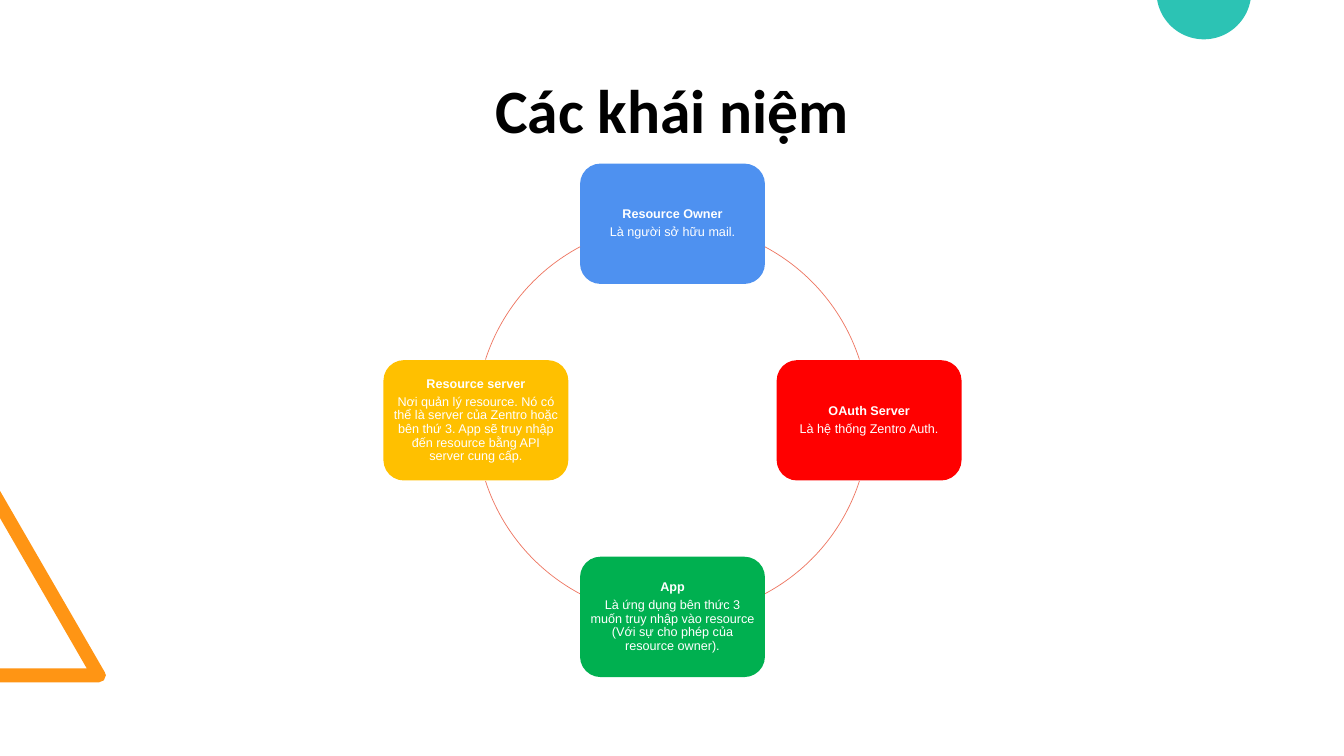
import math
from dataclasses import dataclass

import pptx
import pptx.dml.color
import pptx.enum.shapes
import pptx.enum.text
import pptx.util

Inches = pptx.util.Inches
Pt = pptx.util.Pt
SHAPE = pptx.enum.shapes.MSO_SHAPE
CENTER = pptx.enum.text.PP_ALIGN.CENTER
MIDDLE = pptx.enum.text.MSO_ANCHOR.MIDDLE

WIDTH, HEIGHT = 13.33, 7.5
CYCLE_X, CYCLE_Y, RADIUS = 6.67, 4.17, 1.95
CARD_W, CARD_H = 1.82, 1.18
# Degrees from a card's centre to the ring's visible part
SIDE_GAP, END_GAP = 18, 28


@dataclass(frozen=True)
class Theme:
    title_font: str = "Calibri"
    body_font: str = "Arial"
    title_size: int = 44
    body_size: int = 9
    black: str = "000000"
    white: str = "FFFFFF"
    blue: str = "4E91F0"
    red: str = "FF0000"
    green: str = "00B050"
    yellow: str = "FFC000"
    ring: str = "EE7661"
    orange: str = "FF9514"
    teal: str = "2CC3B4"


THEME = Theme()

# Clockwise from the top of the cycle
CONCEPTS = [
    ("Resource Owner", "Là người sở hữu mail.", THEME.blue),
    ("OAuth Server", "Là hệ thống Zentro Auth.", THEME.red),
    ("App", "Là ứng dụng bên thức 3 muốn truy nhập vào resource "
            "(Với sự cho phép của resource owner).", THEME.green),
    ("Resource server", "Nơi quản lý resource. Nó có thể là server của Zentro "
                        "hoặc bên thứ 3. App sẽ truy nhập đến resource bằng API "
                        "server cung cấp.", THEME.yellow),
]


def rgb(color):
    return pptx.dml.color.RGBColor.from_string(color)


def set_font(p, name, size, color, bold):
    p.font.name, p.font.size, p.font.bold = name, Pt(size), bold
    p.font.color.rgb = rgb(color)


def paint(shape, color):
    shape.shadow.inherit = False
    shape.fill.solid()
    shape.fill.fore_color.rgb = rgb(color)


def add_polygon(s, points, color):
    corners = [(Inches(x), Inches(y)) for x, y in points]
    builder = s.shapes.build_freeform(*corners[0])
    builder.add_line_segments(corners[1:], close=True)
    shape = builder.convert_to_shape()
    paint(shape, color)
    shape.line.fill.background()


def add_decorations(s):
    add_polygon(s, [(0, 6.77), (0, 6.63), (0.86, 6.63), (0, 5.14), (0, 4.87),
                    (1.04, 6.67), (1.05, 6.7), (1.03, 6.75), (0.98, 6.77)],
                THEME.orange)
    x, y, radius = 11.94, -0.08, 0.47
    first = math.asin(-y / radius)
    steps = 40
    angles = [first + (math.pi - 2 * first) * i / steps for i in range(steps + 1)]
    add_polygon(s, [(x + radius * math.cos(a), y + radius * math.sin(a))
                    for a in angles], THEME.teal)


def add_title(s, text):
    title = s.shapes.title
    title.left, title.top = Inches(0.92), Inches(0.4)
    title.width, title.height = Inches(11.5), Inches(1.45)
    tf = title.text_frame
    tf.text = text
    tf.vertical_anchor = MIDDLE
    p = tf.paragraphs[0]
    p.alignment, p.line_spacing = CENTER, 0.9
    set_font(p, THEME.title_font, THEME.title_size, THEME.black, True)


def add_ring_arc(s, quarter):
    """Draw the part of the ring between two neighbouring cards."""
    arc = s.shapes.add_shape(SHAPE.ARC, Inches(CYCLE_X - RADIUS),
                             Inches(CYCLE_Y - RADIUS),
                             Inches(2 * RADIUS), Inches(2 * RADIUS))
    arc.shadow.inherit = False
    start = 90 * quarter + (END_GAP if quarter % 2 else SIDE_GAP)
    sweep = 90 - SIDE_GAP - END_GAP
    # One adjustment unit is 100000 sixty-thousandths of a degree
    arc.adjustments[0] = start * 0.6
    arc.adjustments[1] = (start + sweep) * 0.6
    arc.fill.background()
    arc.line.color.rgb = rgb(THEME.ring)
    arc.line.width = Pt(0.5)


def add_card(s, position, name, description, color):
    angle = math.radians(90 * position - 90)
    x = CYCLE_X + RADIUS * math.cos(angle) - CARD_W / 2
    y = CYCLE_Y + RADIUS * math.sin(angle) - CARD_H / 2
    card = s.shapes.add_shape(SHAPE.ROUNDED_RECTANGLE, Inches(x), Inches(y),
                              Inches(CARD_W), Inches(CARD_H))
    paint(card, color)
    card.line.color.rgb = rgb(color)
    card.line.width = Pt(1)
    tf = card.text_frame
    tf.word_wrap = True
    tf.vertical_anchor = MIDDLE
    tf.margin_left = tf.margin_right = Inches(0.03)
    tf.margin_top = tf.margin_bottom = Inches(0.04)
    tf.text = f"{name}\n{description}"
    for i, p in enumerate(tf.paragraphs):
        p.alignment, p.line_spacing = CENTER, 0.9
        if i:
            p.space_before = Pt(3.2)
        set_font(p, THEME.body_font, THEME.body_size, THEME.white, i == 0)


def main():
    prs = pptx.Presentation()
    prs.slide_width, prs.slide_height = Inches(WIDTH), Inches(HEIGHT)
    s = prs.slides.add_slide(prs.slide_layouts[5])
    add_decorations(s)
    add_title(s, "Các khái niệm")
    for position, concept in enumerate(CONCEPTS):
        add_ring_arc(s, position)
        add_card(s, position, *concept)
    prs.save("out.pptx")


if __name__ == "__main__":
    main()
